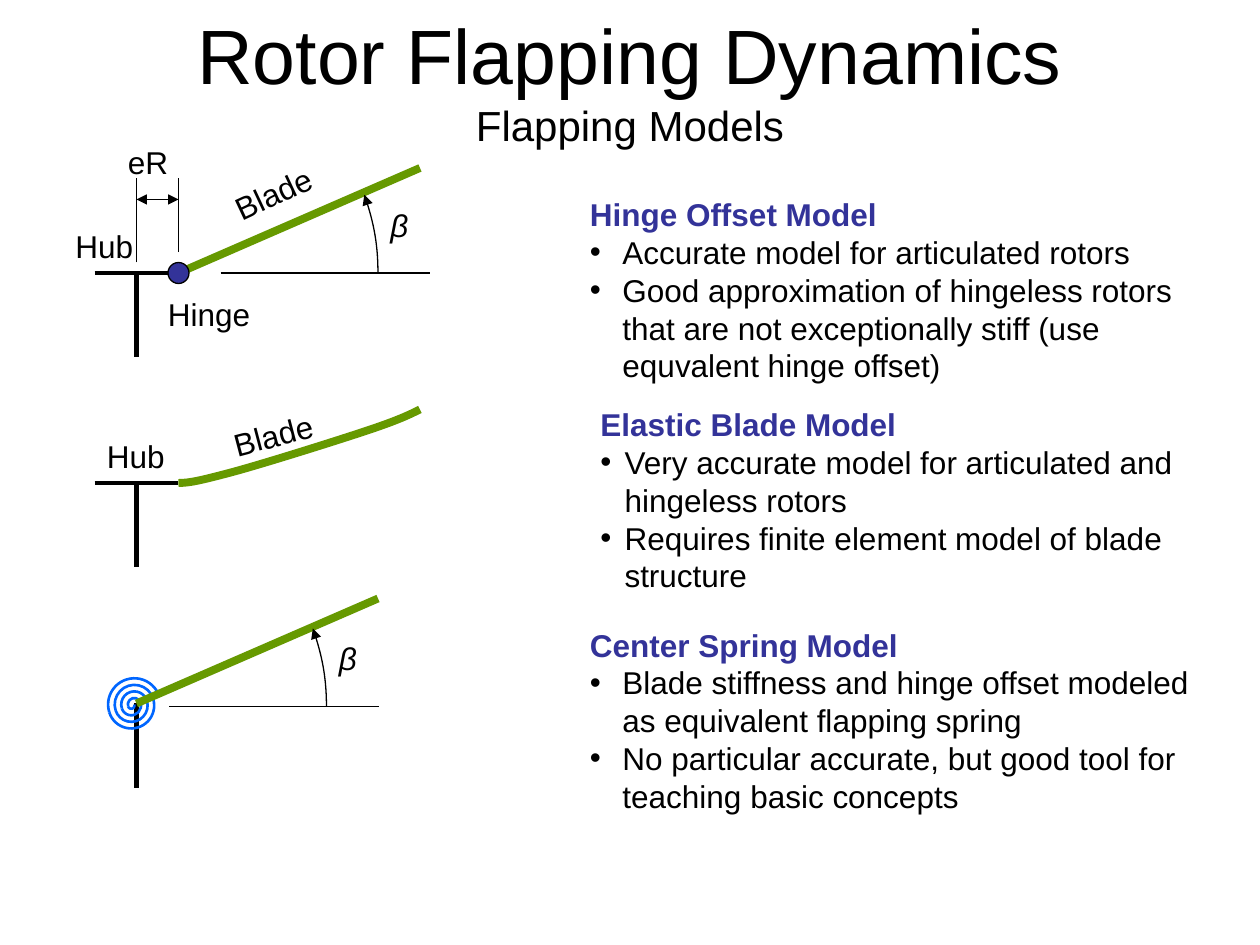
import math
from dataclasses import dataclass

import pptx
import pptx.dml.color
import pptx.enum.shapes
import pptx.enum.text
import pptx.oxml.ns
import pptx.util
from lxml import etree

PX = 7620
qn = pptx.oxml.ns.qn
MSO_SHAPE = pptx.enum.shapes.MSO_SHAPE


@dataclass(frozen=True)
class Theme:
    font: str = "Arial"
    ink: str = "000000"
    accent: str = "333399"
    blade: str = "669900"
    spring: str = "0066FF"
    title: int = 44
    subtitle: int = 24
    body: int = 18
    thin: float = 0.75
    coil: float = 1.5
    bar: float = 2.25
    mast: float = 3
    thick: float = 4.5


def px(n):
    return round(n * PX)


def rgb(color):
    return pptx.dml.color.RGBColor.from_string(color)


def add_text(p, text, *, font, size, color, bold=False, italic=False):
    r = p.add_run()
    r.text = text
    f = r.font
    f.name, f.size, f.bold, f.italic = font, pptx.util.Pt(size), bold, italic
    f.color.rgb = rgb(color)


class Board:
    def __init__(self, slide, theme):
        self.s, self.t = slide, theme

    def stroke(self, sp, color, width, ends=()):
        sp.line.color.rgb = rgb(color)
        sp.line.width = pptx.util.Pt(width)
        ln = sp._element.spPr.find(qn("a:ln"))
        for end in ends:
            etree.SubElement(ln, qn(f"a:{end}"), type="triangle")

    def title(self, text, subtitle, x, y, w, h):
        sp = self.s.shapes.title
        sp.left, sp.top, sp.width, sp.height = map(px, (x, y, w, h))
        tf = sp.text_frame
        tf.auto_size = pptx.enum.text.MSO_AUTO_SIZE.NONE
        tf.vertical_anchor = pptx.enum.text.MSO_ANCHOR.MIDDLE
        p = tf.paragraphs[0]
        p.alignment = pptx.enum.text.PP_ALIGN.CENTER
        add_text(p, text, font=self.t.font, size=self.t.title, color=self.t.ink)
        p.add_line_break()
        add_text(p, subtitle, font=self.t.font, size=self.t.subtitle, color=self.t.ink)

    def box(self, x, y, w, h, wrap):
        sp = self.s.shapes.add_textbox(*map(px, (x, y, w, h)))
        sp.text_frame.word_wrap = wrap
        sp.text_frame.auto_size = pptx.enum.text.MSO_AUTO_SIZE.SHAPE_TO_FIT_TEXT
        return sp

    def label(self, text, x, y, w, rotation=0, italic=False):
        sp = self.box(x, y, w, 48, False)
        sp.rotation = rotation
        add_text(sp.text_frame.paragraphs[0], text, font=self.t.font, size=self.t.body,
                 color=self.t.ink, italic=italic)

    def notes(self, heading, bullets, x, y, indent):
        tf = self.box(x, y, 630, 192, True).text_frame
        for i, text in enumerate([heading, *bullets]):
            p = tf.add_paragraph() if i else tf.paragraphs[0]
            pPr = p._p.get_or_add_pPr()
            pPr.set("marL", str(px(indent)))
            pPr.set("indent", str(-px(indent)))
            if i:
                etree.SubElement(pPr, qn("a:buFont"), typeface=self.t.font)
                etree.SubElement(pPr, qn("a:buChar"), char="•")
            add_text(p, text, font=self.t.font, size=self.t.body,
                     color=self.t.ink if i else self.t.accent, bold=not i)

    def line(self, x1, y1, x2, y2, width, color=None, ends=()):
        kind = pptx.enum.shapes.MSO_CONNECTOR.STRAIGHT
        sp = self.s.shapes.add_connector(kind, *map(px, (x1, y1, x2, y2)))
        self.stroke(sp, color or self.t.ink, width, ends)
        etree.SubElement(sp._element.spPr, qn("a:effectLst"))

    def curve(self, points, width, color):
        first, *rest = [(px(x), px(y)) for x, y in points]
        fb = self.s.shapes.build_freeform(*first)
        fb.add_line_segments(rest, close=False)
        sp = fb.convert_to_shape()
        sp.shadow.inherit = False
        sp.fill.background()
        self.stroke(sp, color, width)
        outline = next(sp._element.iter(qn("a:path")))
        segments = outline.findall(qn("a:lnTo"))
        for i in range(0, len(segments), 3):
            bezier = etree.SubElement(outline, qn("a:cubicBezTo"))
            for segment in segments[i:i + 3]:
                bezier.append(segment[0])
                outline.remove(segment)

    def round(self, kind, cx, cy, radius):
        bounds = map(px, (cx - radius, cy - radius, 2 * radius, 2 * radius))
        sp = self.s.shapes.add_shape(kind, *bounds)
        sp.shadow.inherit = False
        return sp

    def dot(self, cx, cy, radius):
        sp = self.round(MSO_SHAPE.OVAL, cx, cy, radius)
        sp.fill.solid()
        sp.fill.fore_color.rgb = rgb(self.t.accent)
        self.stroke(sp, self.t.ink, self.t.thin)

    def arc(self, cx, cy, radius, start, end, width, color, rotation=0, ends=()):
        sp = self.round(MSO_SHAPE.ARC, cx, cy, radius)
        sp.adjustments[0], sp.adjustments[1] = start * 0.6, end * 0.6
        sp.rotation = rotation
        sp.fill.background()
        self.stroke(sp, color, width, ends)

    def spiral(self, cx, cy, radius, turns, tilt):
        step = radius / turns
        dx = step * math.cos(math.radians(tilt))
        dy = step * math.sin(math.radians(tilt))
        for i in range(turns):
            odd = i % 2
            start, end = (0, 180) if odd else (180, 0)
            self.arc(cx - odd * dx, cy - odd * dy, radius - i * step, start, end,
                     self.t.coil, self.t.spring, rotation=tilt)

    def hub(self, y, bar=True):
        self.line(130, y, 130, y + 80, self.t.mast)
        if bar:
            self.line(90, y, 170, y, self.t.bar)

    def flap_angle(self, x, y):
        self.line(x + 70, y, x + 270, y, self.t.thin)
        self.arc(x, y, 220, 340.2, 0, self.t.thin, self.t.ink, ends=["headEnd"])
        self.label("β", x + 220, y - 70, 41, italic=True)


def hinge_offset(b):
    b.hub(260)
    b.line(170, 260, 400, 160, b.t.thick, b.t.blade)
    b.dot(170, 260, 10)
    b.label("Blade", 210, 160, 101, rotation=334.9)
    b.label("Hub", 60, 210, 79)
    b.label("Hinge", 148, 275, 102)
    b.line(130, 250, 130, 170, b.t.thin)
    b.line(170, 240, 170, 170, b.t.thin)
    b.line(130, 190, 170, 190, b.t.thin, ends=["headEnd", "tailEnd"])
    b.label("eR", 110, 130, 62)
    b.flap_angle(140, 260)
    b.notes("Hinge Offset Model", [
        "Accurate model for articulated rotors",
        "Good approximation of hingeless rotors that are not exceptionally stiff "
        "(use equvalent hinge offset)"], 550, 180, 31)


def elastic_blade(b):
    b.hub(460)
    b.label("Blade", 210, 390, 101, rotation=345.3)
    b.label("Hub", 90, 410, 79)
    b.curve([(170, 460), (180, 460), (190, 458), (220, 450), (250, 442),
             (320, 420), (350, 410), (380, 400), (390, 395), (400, 390)],
            b.t.thick, b.t.blade)
    b.notes("Elastic Blade Model", [
        "Very accurate model for articulated and hingeless rotors",
        "Requires finite element model of blade structure"], 560, 380, 23)


def center_spring(b):
    b.hub(670, bar=False)
    b.spiral(128, 671, 25, 8, 342.8)
    b.line(130, 670, 360, 570, b.t.thick, b.t.blade)
    b.flap_angle(91, 673)
    b.notes("Center Spring Model", [
        "Blade stiffness and hinge offset modeled as equivalent flapping spring",
        "No particular accurate, but good tool for teaching basic concepts"], 550, 590, 31)


def main():
    """Build the rotor flapping models slide."""
    prs = pptx.Presentation()
    prs.slide_width, prs.slide_height = px(1200), px(900)
    b = Board(prs.slides.add_slide(prs.slide_layouts[5]), Theme())
    b.title("Rotor Flapping Dynamics", "Flapping Models", 60, 0, 1080, 150)
    hinge_offset(b)
    elastic_blade(b)
    center_spring(b)
    prs.save("out.pptx")


if __name__ == "__main__":
    main()
